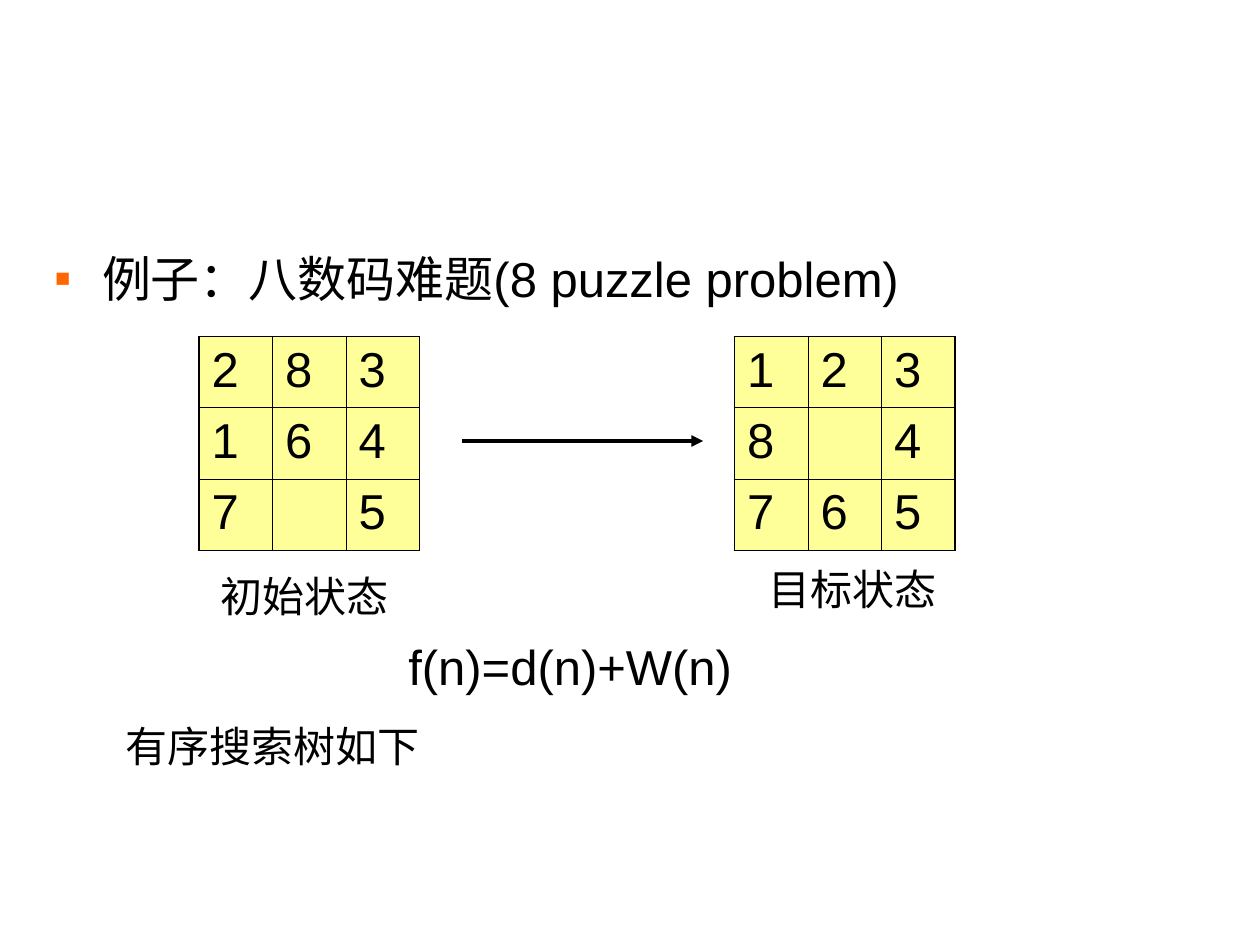
from dataclasses import dataclass

from lxml import etree
from pptx import Presentation
from pptx.dml.color import RGBColor
from pptx.enum.shapes import MSO_CONNECTOR
from pptx.enum.text import MSO_ANCHOR, MSO_AUTO_SIZE, PP_ALIGN
from pptx.oxml.ns import qn
from pptx.util import Inches, Pt

STRAIGHT = MSO_CONNECTOR.STRAIGHT
TOP = MSO_ANCHOR.TOP
FIXED = MSO_AUTO_SIZE.NONE
GROW = MSO_AUTO_SIZE.SHAPE_TO_FIT_TEXT
LEFT, CENTER = PP_ALIGN.LEFT, PP_ALIGN.CENTER


@dataclass(frozen=True)
class Theme:
    ink: str = "000000"
    tile: str = "FFFF99"
    bullet: str = "FF6600"
    latin: str = "Arial"
    asian: str = "Noto Sans CJK JP"
    large: int = 28
    medium: int = 24
    outer_border: float = 1.08
    inner_border: float = 0.45
    arrow: float = 2.25


THEME = Theme()
START = ("283", "164", "7 5")
GOAL = ("123", "8 4", "765")


def add_span(para, text, size, font=THEME.latin):
    span = para.add_run()
    span.text = text
    span.font.size = Pt(size)
    span.font.name = font
    span.font.color.rgb = RGBColor.from_string(THEME.ink)
    asian = etree.SubElement(span.font._element, qn("a:ea"))
    asian.set("typeface", THEME.asian)


def add_color(parent, color):
    etree.SubElement(parent, qn("a:srgbClr")).set("val", color)


def fill_heading(page, box, text):
    body = page.placeholders[1]
    body.left, body.top, body.width, body.height = map(Inches, box)
    frame = body.text_frame
    frame.auto_size = FIXED
    frame.vertical_anchor = TOP
    para = frame.paragraphs[0]
    layout = para._p.get_or_add_pPr()
    layout.set("marL", str(Inches(0.38)))
    layout.set("indent", str(-Inches(0.38)))
    add_color(etree.SubElement(layout, qn("a:buClr")), THEME.bullet)
    etree.SubElement(layout, qn("a:buFont")).set("typeface", THEME.latin)
    etree.SubElement(layout, qn("a:buChar")).set("char", "▪")
    para.space_before = Pt(0)
    add_span(para, text, THEME.large)


def add_border(cell, side, width):
    border = etree.SubElement(cell._tc.get_or_add_tcPr(), qn(f"a:ln{side}"))
    border.set("w", str(Pt(width)))
    add_color(etree.SubElement(border, qn("a:solidFill")), THEME.ink)


def add_board(page, box, rows):
    left, top, width, height = map(Inches, box)
    count = len(rows)
    table = page.shapes.add_table(count, count, left, top, width, height).table
    table.first_row = table.horz_banding = False
    for row, digits in enumerate(rows):
        table.rows[row].height = height // count
        table.columns[row].width = width // count
        for column, digit in enumerate(digits):
            cell = table.cell(row, column)
            edges = {
                "L": column == 0,
                "R": column == count - 1,
                "T": row == 0,
                "B": row == count - 1,
            }
            for side, outer in edges.items():
                add_border(cell, side, THEME.outer_border if outer else THEME.inner_border)
            cell.fill.solid()
            cell.fill.fore_color.rgb = RGBColor.from_string(THEME.tile)
            if digit.strip():
                add_span(cell.text_frame.paragraphs[0], digit, THEME.large)


def add_label(page, box, text, size, font=THEME.latin, align=LEFT, wrap=False):
    frame = page.shapes.add_textbox(*map(Inches, box)).text_frame
    frame.word_wrap = wrap
    frame.auto_size = GROW
    para = frame.paragraphs[0]
    para.alignment = align
    add_span(para, text, size, font)


def add_arrow(page, box):
    left, top, width, height = map(Inches, box)
    arrow = page.shapes.add_connector(STRAIGHT, left, top, left + width, top + height)
    arrow.line.width = Pt(THEME.arrow)
    arrow.line.color.rgb = RGBColor.from_string(THEME.ink)
    etree.SubElement(arrow.line._get_or_add_ln(), qn("a:tailEnd")).set("type", "triangle")
    etree.SubElement(arrow._element.spPr, qn("a:effectLst"))


def build_puzzle_page(deck):
    page = deck.slides.add_slide(deck.slide_layouts[1])
    title = page.shapes.title._element
    title.getparent().remove(title)
    fill_heading(page, (0.33, 1.92, 9.34, 0.75), "例子：八数码难题(8 puzzle problem)")
    for left, rows in ((1.58, START), (5.83, GOAL)):
        add_board(page, (left, 2.67, 1.75, 1.7), rows)
    add_arrow(page, (3.67, 3.5, 1.91, 0))
    add_label(page, (1.65, 4.48, 1.53, 0.5), "初始状态", THEME.medium)
    add_label(page, (6, 4.42, 1.53, 0.5), "目标状态", THEME.medium)
    add_label(page, (0.9, 5.67, 8.35, 0.5), "有序搜索树如下", THEME.medium, THEME.asian, wrap=True)
    add_label(page, (3.14, 5, 2.77, 0.57), "f(n)=d(n)+W(n)", THEME.large, align=CENTER)


def main():
    deck = Presentation()
    deck.slide_width, deck.slide_height = Inches(10), Inches(7.5)
    build_puzzle_page(deck)
    deck.save("out.pptx")


if __name__ == "__main__":
    main()
